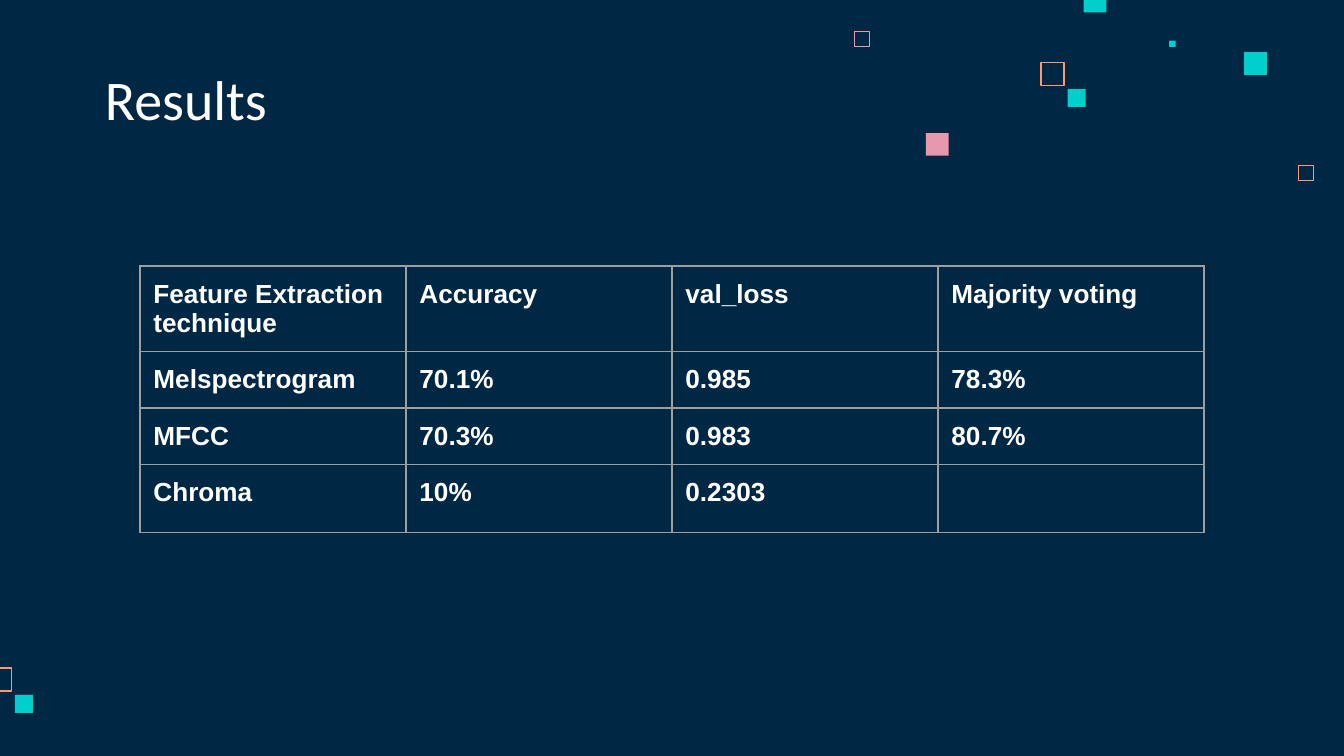
from dataclasses import dataclass

from lxml.etree import SubElement
from pptx import Presentation
from pptx.dml.color import RGBColor
from pptx.enum.shapes import MSO_SHAPE
from pptx.enum.text import MSO_ANCHOR, MSO_AUTO_SIZE, PP_ALIGN
from pptx.oxml.ns import qn
from pptx.util import Pt


@dataclass(frozen=True)
class Theme:
    background: str = "002845"
    text: str = "FFFFFF"
    teal: str = "00CFCC"
    pink: str = "E898AC"
    orange: str = "FF9973"
    border: str = "9E9E9E"
    title_font: str = "Calibri"
    table_font: str = "Arial"
    title_size: float = 30
    table_size: float = 14
    line_width: float = 0.75
    inset: float = 7.2


THEME = Theme()

# Left, top, side, colour
SOLID_SQUARES = [
    (626.4, 21.8, 3.4, THEME.teal),
    (580.6, -5.5, 12.2, THEME.teal),
    (666.5, 28, 12.2, THEME.teal),
    (572, 47.7, 9.6, THEME.teal),
    (496, 71.3, 12.2, THEME.pink),
    (8, 372.3, 9.6, THEME.teal),
]
HOLLOW_SQUARES = [
    (695.3, 88.4, 8.8, THEME.orange),
    (457.3, 16.7, 8.8, THEME.pink),
    (557.4, 33.1, 13.1, THEME.orange),
    (-6.6, 357.5, 13.1, THEME.orange),
]

ROWS = [
    ("Feature Extraction technique", "Accuracy", "val_loss", "Majority voting"),
    ("Melspectrogram", "70.1%", "0.985", "78.3%"),
    ("MFCC", "70.3%", "0.983", "80.7%"),
    ("Chroma", "10%", "0.2303", ""),
]
ROW_HEIGHTS = (45.6, 30.24, 30.24, 34.6)
COLUMN_WIDTH = 142.5


def colour(code):
    return RGBColor.from_string(code)


def add_span(para, text, font, size, bold=False):
    span = para.add_run()
    span.text = text
    span.font.name = font
    span.font.size = Pt(size)
    span.font.bold = bold
    span.font.color.rgb = colour(THEME.text)


def set_margins(area):
    for side in ("left", "top", "right", "bottom"):
        setattr(area, f"margin_{side}", Pt(THEME.inset))


def add_square(page, left, top, side, code, hollow=False):
    # An outline straddles the edge, so a hollow square is drawn half a line in
    edge = THEME.line_width / 2 if hollow else 0
    square = page.shapes.add_shape(
        MSO_SHAPE.RECTANGLE, Pt(left + edge), Pt(top + edge),
        Pt(side - 2 * edge), Pt(side - 2 * edge))
    square.shadow.inherit = False
    if hollow:
        square.fill.background()
        square.line.color.rgb = colour(code)
        square.line.width = Pt(THEME.line_width)
    else:
        square.fill.solid()
        square.fill.fore_color.rgb = colour(code)
        square.line.fill.background()


def set_title(page, text):
    title = page.shapes.title
    title.left, title.top = Pt(49), Pt(32.4)
    title.width, title.height = Pt(372.2), Pt(45.4)
    frame = title.text_frame
    frame.auto_size = MSO_AUTO_SIZE.NONE
    frame.word_wrap = True
    frame.vertical_anchor = MSO_ANCHOR.BOTTOM
    set_margins(frame)
    para = frame.paragraphs[0]
    para.alignment = PP_ALIGN.LEFT
    add_span(para, text, THEME.title_font, THEME.title_size)


def add_borders(cell):
    properties = cell._tc.get_or_add_tcPr()
    for tag in ("a:lnL", "a:lnR", "a:lnT", "a:lnB"):
        line = SubElement(properties, qn(tag), w=str(Pt(THEME.line_width)))
        fill = SubElement(line, qn("a:solidFill"))
        SubElement(fill, qn("a:srgbClr"), val=THEME.border)


def add_results_table(page, left, top):
    columns = len(ROWS[0])
    table = page.shapes.add_table(
        len(ROWS), columns, Pt(left), Pt(top),
        Pt(COLUMN_WIDTH * columns), Pt(sum(ROW_HEIGHTS))).table
    table.first_row = False
    table.horz_banding = False
    for column in table.columns:
        column.width = Pt(COLUMN_WIDTH)
    for row, height, texts in zip(table.rows, ROW_HEIGHTS, ROWS):
        row.height = Pt(height)
        for cell, text in zip(row.cells, texts):
            set_margins(cell)
            add_borders(cell)
            cell.fill.background()
            if text:
                add_span(cell.text_frame.paragraphs[0], text,
                         THEME.table_font, THEME.table_size, bold=True)


def main():
    deck = Presentation()
    deck.slide_width, deck.slide_height = Pt(720), Pt(405)
    page = deck.slides.add_slide(deck.slide_layouts[5])
    page.background.fill.solid()
    page.background.fill.fore_color.rgb = colour(THEME.background)

    # Scattered squares
    for square in SOLID_SQUARES:
        add_square(page, *square)
    for square in HOLLOW_SQUARES:
        add_square(page, *square, hollow=True)

    # Title and results
    set_title(page, "Results")
    add_results_table(page, 75, 142.5)

    deck.save("out.pptx")


if __name__ == "__main__":
    main()
